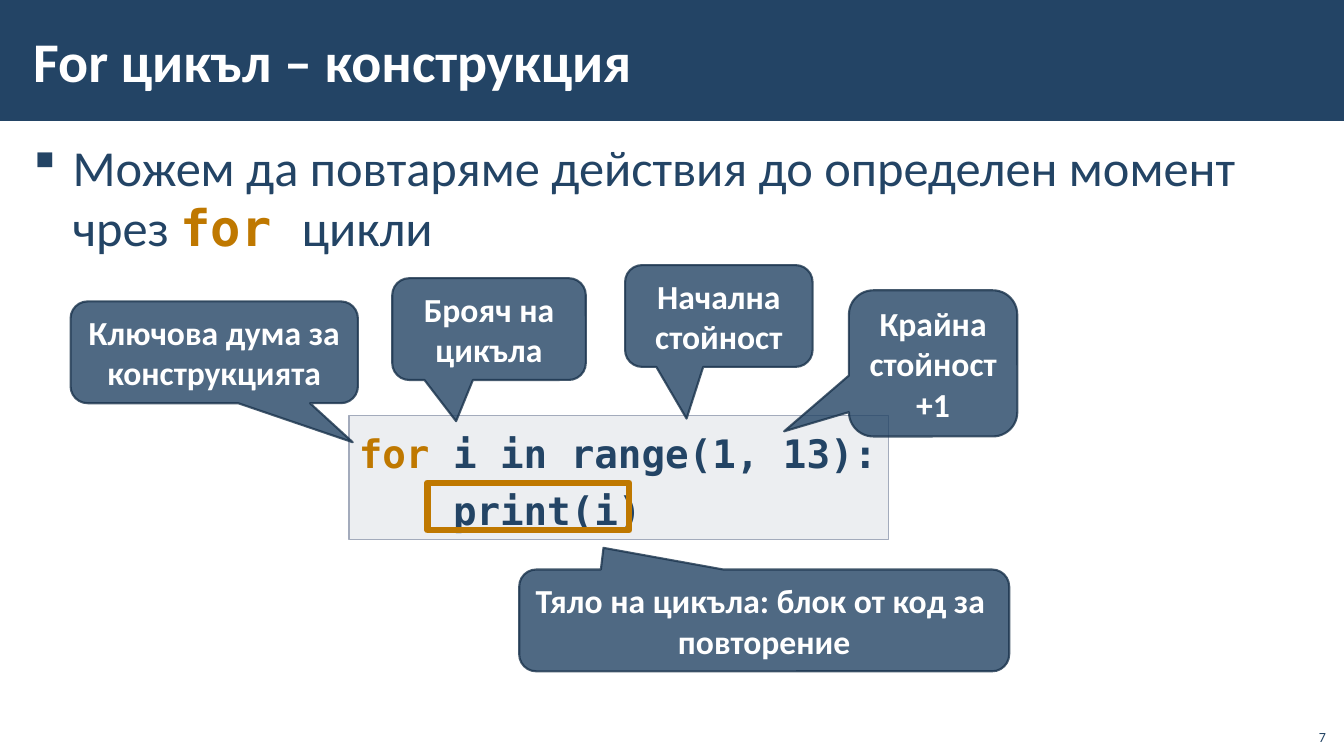
import pptx
import pptx.util
import pptx.dml.color
import pptx.enum.shapes
import pptx.enum.text
import pptx.oxml.ns
from lxml import etree

Inches = pptx.util.Inches
Pt = pptx.util.Pt
Shape = pptx.enum.shapes.MSO_SHAPE
Align = pptx.enum.text.PP_ALIGN
Anchor = pptx.enum.text.MSO_ANCHOR
Fit = pptx.enum.text.MSO_AUTO_SIZE
qn = pptx.oxml.ns.qn

HEX = {"navy": "234465", "gold": "BF7800", "white": "FFFFFF",
       "gray": "A3ABBC", "edge": "1A334C"}
SANS, MONO = "Calibri", "DejaVu Sans Mono"

TITLE = [[("For цикъл – конструкция", SANS, "white", True)]]
BODY = [[("Можем да повтаряме действия до определен момент чрез ", SANS, "navy", False),
         ("for ", MONO, "gold", True),
         ("цикли", SANS, "navy", False)]]
CODE = [[("for", MONO, "gold", True), (" i in range(1, 13):", MONO, "navy", True)],
        [("    print(i)", MONO, "navy", True)]]
PAGE = [[("7", SANS, "navy", False)]]
NOTES = [
    ("Ключова дума за конструкцията", (0.7, 2.99, 2.85, 1.01), (0.482, 0.884)),
    ("Начална стойност", (6.2, 2.63, 1.86, 1.01), (-0.172, 1.008)),
    ("Крайна стойност +1", (8.42, 2.88, 1.67, 1.45), (-0.885, 0.465)),
    ("Тяло на цикъла: блок от код за \nповторение", (5.15, 5.65, 4.86, 1.01), (-0.328, -0.713)),
    ("Брояч на цикъла", (3.89, 2.76, 1.92, 1.01), (-0.17, 0.905)),
]


def paint(color, name, alpha=100):
    color.rgb = pptx.dml.color.RGBColor.from_string(HEX[name])
    return alpha


def fade(fill, name, alpha, node):
    fill.solid()
    paint(fill.fore_color, name)
    if alpha < 100:
        tone = node.find(qn("a:solidFill")).find(qn("a:srgbClr"))
        etree.SubElement(tone, qn("a:alpha")).set("val", str(alpha * 1000))


def block(slide, kind, box, fill=None, line=None, width=1, alpha=100, edge=100):
    shape = slide.shapes.add_shape(kind, *map(Inches, box))
    shape.shadow.inherit = False
    props = shape.element.spPr
    if fill:
        fade(shape.fill, fill, alpha, props)
    else:
        shape.fill.background()
    if line:
        shape.line.width = Pt(width)
        fade(shape.line.fill, line, edge, props.find(qn("a:ln")))
    else:
        shape.line.fill.background()
    return shape


def write(shape, rows, size, align=Align.LEFT, anchor=Anchor.TOP, pad=(0.1, 0.05), gap=1.0):
    frame = shape.text_frame
    frame.word_wrap = True
    frame.vertical_anchor = anchor
    frame.margin_left = frame.margin_right = Inches(pad[0])
    frame.margin_top = frame.margin_bottom = Inches(pad[1])
    for num, row in enumerate(rows):
        para = frame.add_paragraph() if num else frame.paragraphs[0]
        para.alignment = align
        para.line_spacing = gap
        for text, face, color, bold in row:
            start = len(para.runs)
            if start:
                para.add_run().text = text
            else:
                para.text = text
            for run in para.runs[start:]:
                run.font.name = face
                run.font.size = Pt(size)
                run.font.bold = bold
                paint(run.font.color, color)
    return frame


def label(slide, box, rows, size, **style):
    return write(slide.shapes.add_textbox(*map(Inches, box)), rows, size, **style)


def callout(slide, text, box, tip):
    shape = block(slide, Shape.ROUNDED_RECTANGULAR_CALLOUT, box, "navy", "edge", 1.5, 80, 80)
    for num, value in enumerate((*tip, 0.167)):
        shape.adjustments[num] = value
    frame = write(shape, [[(text, SANS, "white", True)]], 24, Align.CENTER, Anchor.MIDDLE)
    frame.auto_size = Fit.SHAPE_TO_FIT_TEXT


def main():
    deck = pptx.Presentation()
    deck.slide_width, deck.slide_height = Inches(13.33), Inches(7.5)
    slide = deck.slides.add_slide(deck.slide_layouts[6])

    block(slide, Shape.RECTANGLE, (0, 0, 13.33, 1.2), "navy")
    body = label(slide, (0.21, 1.31, 12.92, 6.05), BODY, 36, pad=(0.12, 0.04))
    props = body.paragraphs[0]._p.get_or_add_pPr()
    props.set("marL", str(Inches(0.39)))
    props.set("indent", str(-Inches(0.39)))
    etree.SubElement(props, qn("a:buFont")).set("typeface", "Wingdings")
    etree.SubElement(props, qn("a:buChar")).set("char", "§")
    label(slide, (0.21, 0.11, 11.23, 0.97), TITLE, 40, anchor=Anchor.MIDDLE, pad=(0.12, 0.04))

    code = block(slide, Shape.RECTANGLE, (3.46, 4.12, 5.35, 1.23), "gray", "gray", 1, 20)
    write(code, CODE, 28, gap=1.2).auto_size = Fit.SHAPE_TO_FIT_TEXT
    for note in NOTES[:-1]:
        callout(slide, *note)
    block(slide, Shape.RECTANGLE, (4.24, 4.79, 2, 0.47), line="gold", width=4.5)
    label(slide, (12.85, 7.12, 0.4, 0.32), PAGE, 10, align=Align.RIGHT, anchor=Anchor.BOTTOM)
    callout(slide, *NOTES[-1])

    deck.save("out.pptx")


if __name__ == "__main__":
    main()
